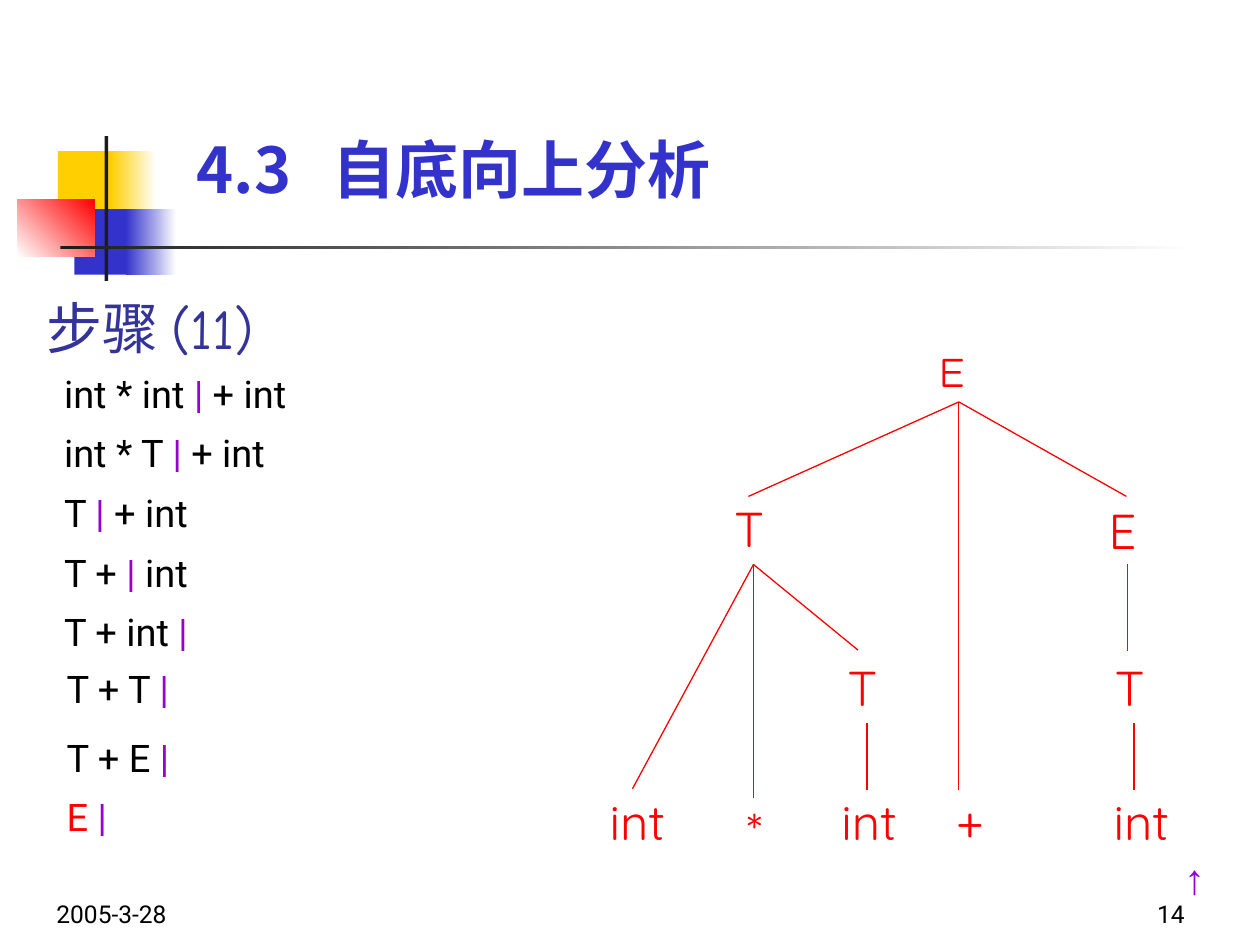
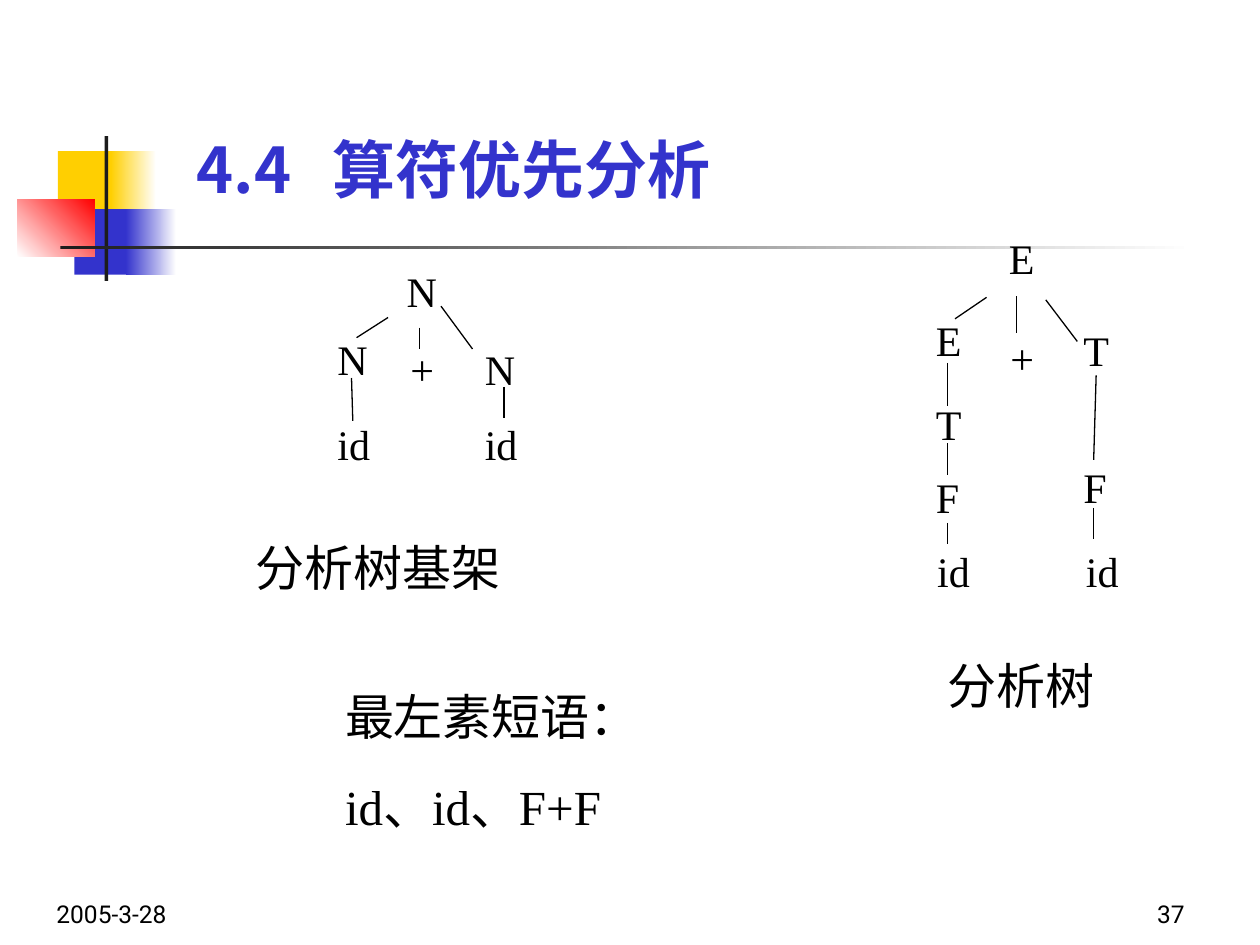
from typing import NamedTuple

from lxml import etree
from pptx import Presentation
from pptx.dml.color import RGBColor
from pptx.enum import shapes, text
from pptx.oxml.ns import qn
from pptx.util import Inches, Pt

# Shared colours and fonts
YELLOW = RGBColor(0xFF, 0xCF, 0x01)
BLUE = RGBColor(0x33, 0x33, 0xCC)
INDIGO = RGBColor(0x33, 0x33, 0x99)
RED = RGBColor(0xFF, 0x00, 0x00)
PURPLE = RGBColor(0x99, 0x00, 0xCC)
CHARCOAL = RGBColor(0x1C, 0x1C, 0x1C)
BLACK = RGBColor(0x00, 0x00, 0x00)
WHITE = RGBColor(0xFF, 0xFF, 0xFF)
CJK_FONT = "Noto Sans CJK SC"


class Style(NamedTuple):
    font: str
    size: float
    color: RGBColor
    bold: bool = False


class Block(NamedTuple):
    left: float
    top: float
    width: float
    height: float
    start: RGBColor
    end: RGBColor | None = None
    angle: float = 0


class Label(NamedTuple):
    words: str
    left: float
    top: float
    width: float = 0.5
    height: float = 0.5


class Branch(NamedTuple):
    x1: float
    y1: float
    x2: float
    y2: float


class Step(NamedTuple):
    words: str
    left: float
    top: float
    color: RGBColor = BLACK


TITLE = Style(CJK_FONT, 36, BLUE, True)
FOOTER = Style("Roboto", 14, BLACK)
HEADING = Style("Comic Neue", 32, INDIGO)
ROOT = Style("Comic Neue", 24, RED)
NODE = Style("Quicksand", 28, RED)
ARROW = Style("Arial", 24, PURPLE)
SYMBOL = Style("Times New Roman", 24, BLACK)
CAPTION = Style("Times New Roman", 28, BLACK)

EMBLEM = [
    Block(0.46, 1.2, 0.48, 0.52, YELLOW),
    Block(0.88, 1.2, 0.36, 0.52, YELLOW, WHITE),
    Block(0.59, 1.66, 0.46, 0.52, BLUE),
    Block(1, 1.66, 0.4, 0.52, BLUE, WHITE),
    Block(0.14, 1.58, 0.61, 0.46, WHITE, RED, 45),
    Block(0.83, 1.08, 0.03, 1.15, CHARCOAL),
    Block(0.48, 1.95, 9, 0.03, CHARCOAL, WHITE),
]

# Shift-reduce steps; the bar marks the parser position
STEPS = [
    Step("int * int | + int", 0.41, 2.96),
    Step("int * T | + int", 0.41, 3.43),
    Step("T | + int", 0.41, 3.91),
    Step("T + | int", 0.41, 4.38),
    Step("T + int |", 0.41, 4.85),
    Step("T + T |", 0.43, 5.3),
    Step("T + E |", 0.43, 5.85),
    Step("E |", 0.43, 6.32, RED),
]
DERIVATION_NODES = [
    Label("T", 5.73, 3.91), Label("E", 8.7, 3.92),
    Label("T", 6.63, 5.17), Label("T", 8.75, 5.17),
    Label("int", 4.74, 6.23, 0.75), Label("*", 5.83, 6.3),
    Label("int", 6.58, 6.23, 0.67), Label("+", 7.49, 6.22),
    Label("int", 8.74, 6.23, 0.67),
]
DERIVATION_BRANCHES = [
    Branch(7.61, 3.19, 5.94, 3.94), Branch(7.61, 3.19, 8.94, 3.94),
    Branch(7.61, 3.19, 7.61, 6.27), Branch(5.98, 4.48, 5.02, 6.26),
    Branch(5.98, 4.48, 6.81, 5.16), Branch(5.98, 4.48, 5.98, 6.33),
    Branch(8.95, 4.48, 8.95, 5.17), Branch(6.88, 5.74, 6.88, 6.27),
    Branch(9, 5.74, 9, 6.27),
]

# Skeleton tree on the left, full parse tree on the right
SKELETON_NODES = [
    Label("N", 3.13, 2.06), Label("N", 2.58, 2.6), Label("+", 3.16, 2.68),
    Label("N", 3.75, 2.68), Label("id", 2.58, 3.27), Label("id", 3.75, 3.27),
]
SKELETON_BRANCHES = [
    Branch(3.08, 2.52, 2.83, 2.68), Branch(3.33, 2.6, 3.33, 2.77),
    Branch(3.5, 2.43, 3.75, 2.77), Branch(2.79, 3, 2.8, 3.34),
    Branch(4, 3.07, 4, 3.32),
]
PARSE_NODES = [
    Label("E", 7.91, 1.8), Label("E", 7.33, 2.45), Label("+", 7.92, 2.59),
    Label("T", 8.5, 2.53), Label("T", 7.33, 3.11), Label("F", 7.33, 3.69),
    Label("F", 8.5, 3.61), Label("id", 7.34, 4.28), Label("id", 8.52, 4.28),
]
PARSE_BRANCHES = [
    Branch(7.83, 2.36, 7.58, 2.53), Branch(8.07, 2.35, 8.07, 2.64),
    Branch(8.3, 2.38, 8.55, 2.71), Branch(7.52, 2.88, 7.52, 3.22),
    Branch(8.7, 2.98, 8.68, 3.65), Branch(7.52, 3.52, 7.52, 3.77),
    Branch(7.52, 4.15, 7.52, 4.32), Branch(8.68, 4.03, 8.68, 4.28),
]


def add_run(paragraph, words: str, style: Style) -> None:
    run = paragraph.add_run()
    run.text = words
    run.font.name = style.font
    run.font.size = Pt(style.size)
    run.font.bold = style.bold
    run.font.color.rgb = style.color
    east_asian = etree.SubElement(run.font._element, qn("a:ea"))
    east_asian.set("typeface", CJK_FONT)


def add_box(slide, left: float, top: float, width: float, height: float,
            anchor=text.MSO_ANCHOR.TOP):
    box = slide.shapes.add_textbox(
        Inches(left), Inches(top), Inches(width), Inches(height))
    frame = box.text_frame
    frame.word_wrap = True
    frame.vertical_anchor = anchor
    return frame


def add_label(slide, label: Label, style: Style, anchor=text.MSO_ANCHOR.TOP,
              align=text.PP_ALIGN.LEFT) -> None:
    frame = add_box(slide, *label[1:], anchor)
    for index, line in enumerate(label.words.split("\n")):
        paragraph = frame.add_paragraph() if index else frame.paragraphs[0]
        paragraph.alignment = align
        if index:
            paragraph.space_before = Pt(17.5)
        add_run(paragraph, line, style)


def add_block(slide, block: Block) -> None:
    shape = slide.shapes.add_shape(
        shapes.MSO_SHAPE.RECTANGLE, *(Inches(length) for length in block[:4]))
    shape.shadow.inherit = False
    shape.line.fill.background()
    if block.end is None:
        shape.fill.solid()
        shape.fill.fore_color.rgb = block.start
        return
    shape.fill.gradient()
    shape.fill.gradient_angle = block.angle
    for stop, color in zip(shape.fill.gradient_stops, (block.start, block.end)):
        stop.color.rgb = color


def add_tree(slide, nodes: list[Label], branches: list[Branch],
             style: Style) -> None:
    for node in nodes:
        add_label(slide, node, style)
    for branch in branches:
        line = slide.shapes.add_connector(
            shapes.MSO_CONNECTOR.STRAIGHT, *(Inches(end) for end in branch))
        line.line.color.rgb = style.color
        line.line.width = Pt(0.75)
        etree.SubElement(line._element.spPr, qn("a:effectLst"))


def add_step(slide, step: Step) -> None:
    paragraph = add_box(slide, step.left, step.top, 3.25, 0.5).paragraphs[0]
    paragraph.line_spacing = 0.8
    for part, color in zip(step.words.partition("|"),
                           (step.color, PURPLE, step.color)):
        if part:
            add_run(paragraph, part, Style("Roboto", 21.7, color))


def start_slide(deck, section: str, topic: str, number: int):
    """Add a slide with the emblem, title, date and page number."""
    slide = deck.slides.add_slide(deck.slide_layouts[5])
    for block in EMBLEM:
        add_block(slide, block)

    title = slide.shapes.title
    title.left, title.top = Inches(1.46), Inches(0.76)
    title.width, title.height = Inches(7.46), Inches(0.93)
    frame = title.text_frame
    frame.auto_size = text.MSO_AUTO_SIZE.NONE
    frame.vertical_anchor = text.MSO_ANCHOR.BOTTOM
    paragraph = frame.paragraphs[0]
    paragraph.alignment = text.PP_ALIGN.LEFT
    tabs = etree.SubElement(paragraph._p.get_or_add_pPr(), qn("a:tabLst"))
    etree.SubElement(tabs, qn("a:tab"), pos=str(Inches(1.08)), algn="l")
    add_run(paragraph, f"{section}\t{topic}", TITLE)

    bottom = text.MSO_ANCHOR.BOTTOM
    add_label(slide, Label("2005-3-28", 0.35, 6.92, 2.73), FOOTER, bottom)
    add_label(slide, Label(str(number), 7.42, 6.92, 2.08), FOOTER, bottom,
              text.PP_ALIGN.RIGHT)
    return slide


def build_bottom_up(deck) -> None:
    slide = start_slide(deck, "4.3", "自底向上分析", 14)
    add_label(slide, Label("步骤 (11)", 0.27, 2.1, 2.21, 1), HEADING,
              text.MSO_ANCHOR.MIDDLE)
    for step in STEPS:
        add_step(slide, step)
    add_label(slide, Label("E", 7.36, 2.69), ROOT)
    add_tree(slide, DERIVATION_NODES, DERIVATION_BRANCHES, NODE)
    add_label(slide, Label("↑", 9.3, 6.72, 0.58), ARROW)


def build_precedence(deck) -> None:
    slide = start_slide(deck, "4.4", "算符优先分析", 37)
    add_tree(slide, SKELETON_NODES, SKELETON_BRANCHES, SYMBOL)
    add_tree(slide, PARSE_NODES, PARSE_BRANCHES, SYMBOL)
    for caption in (
        Label("分析树基架", 1.93, 4.22, 3.44, 0.57),
        Label("分析树", 7.42, 5.15, 1.46, 0.57),
        Label("最左素短语：\nid、id、F+F", 2.64, 5.4, 3.05, 1.28),
    ):
        add_label(slide, caption, CAPTION)


def main() -> None:
    deck = Presentation()
    deck.slide_width, deck.slide_height = Inches(10), Inches(7.5)
    build_bottom_up(deck)
    build_precedence(deck)
    deck.save("out.pptx")


if __name__ == "__main__":
    main()
